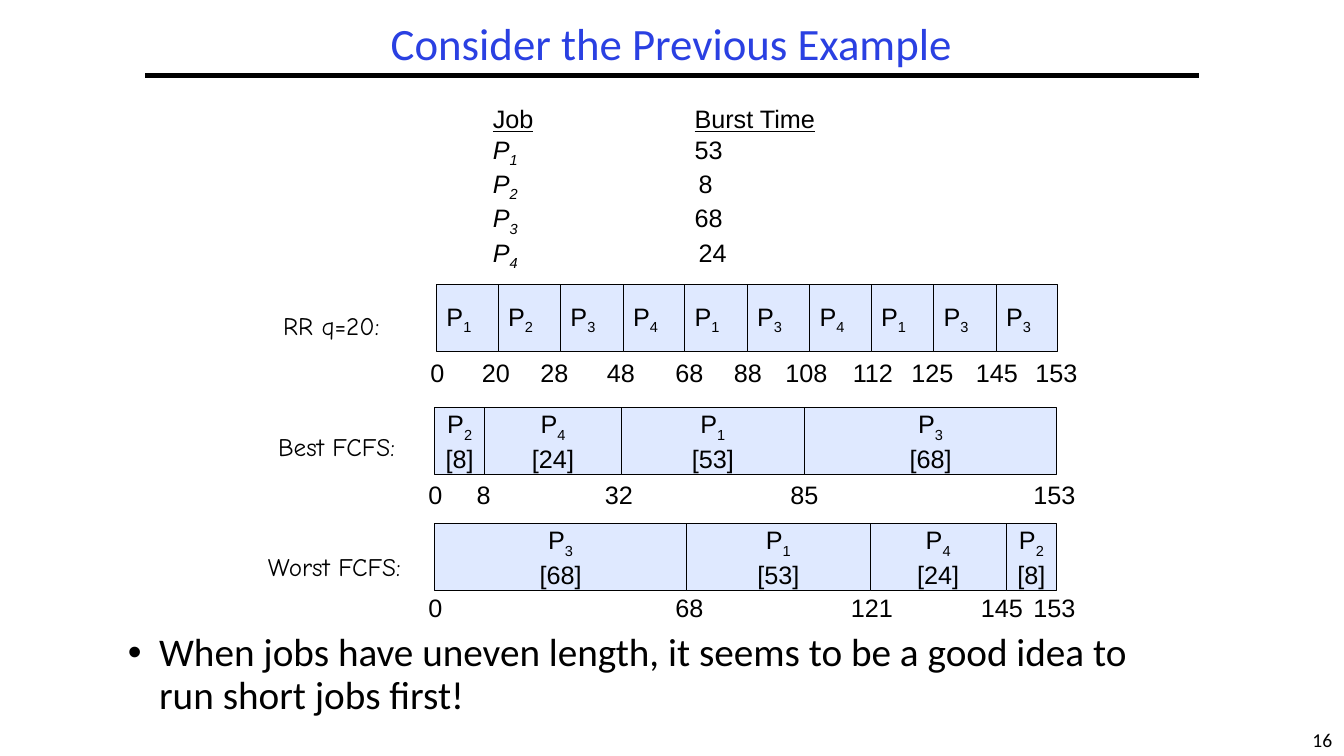
from dataclasses import dataclass
from itertools import accumulate

from lxml.etree import SubElement
from pptx import Presentation
from pptx.dml.color import RGBColor
from pptx.enum.shapes import MSO_CONNECTOR, MSO_SHAPE
from pptx.enum.text import MSO_ANCHOR, MSO_AUTO_SIZE, PP_ALIGN
from pptx.oxml.ns import qn
from pptx.util import Emu, Pt

PX = 9144  # 100 px to the inch
BLACK, TITLE_BLUE, CELL_BLUE = "000000", "2A40E2", "DFE9FF"
CELL_HEIGHT = 67


@dataclass
class Slot:
    job: int
    width: int
    burst: int | None = None


@dataclass
class Schedule:
    label: str
    label_box: tuple[int, int, int, int]
    left: int
    top: int
    slots: list[Slot]
    ticks_top: int
    ticks: dict[int, int]  # time -> centre of its number


def px(value: int) -> Emu:
    return Emu(value * PX)


def rgb(colour: str) -> RGBColor:
    return RGBColor.from_string(colour)


def style(run, size: int, font: str = "Arial", colour: str = BLACK) -> None:
    run.font.size = Pt(size)
    run.font.name = font
    run.font.color.rgb = rgb(colour)


def add_run(paragraph, text: str, subscript: bool = False):
    run = paragraph.add_run()
    run.text = text
    style(run, 18)
    if subscript:
        run._r.get_or_add_rPr().set("baseline", "-25000")
    return run


def add_text(slide, box: tuple[int, int, int, int], text: str, size: int = 18,
             font: str = "Arial", wrap: bool = False, align=PP_ALIGN.LEFT,
             anchor=MSO_ANCHOR.TOP):
    frame = slide.shapes.add_textbox(*map(px, box)).text_frame
    frame.word_wrap = wrap
    frame.auto_size = MSO_AUTO_SIZE.NONE if wrap else MSO_AUTO_SIZE.SHAPE_TO_FIT_TEXT
    frame.vertical_anchor = anchor
    frame.text = text
    frame.paragraphs[0].alignment = align
    for run in frame.paragraphs[0].runs:
        style(run, size, font)
    return frame


def add_slot(slide, slot: Slot, left: int, top: int) -> None:
    cell = slide.shapes.add_shape(
        MSO_SHAPE.RECTANGLE, px(left), px(top), px(slot.width), px(CELL_HEIGHT))
    cell.shadow.inherit = False
    cell.fill.solid()
    cell.fill.fore_color.rgb = rgb(CELL_BLUE)
    cell.line.color.rgb = rgb(BLACK)
    cell.line.width = Pt(0.75)
    frame = cell.text_frame
    frame.word_wrap = False
    frame.vertical_anchor = MSO_ANCHOR.MIDDLE
    job = frame.paragraphs[0]
    job.alignment = PP_ALIGN.LEFT if slot.burst is None else PP_ALIGN.CENTER
    add_run(job, "P")
    add_run(job, str(slot.job), subscript=True)
    if slot.burst is not None:
        burst = frame.add_paragraph()
        burst.alignment = PP_ALIGN.CENTER
        add_run(burst, f"[{slot.burst}]")


def add_schedule(slide, schedule: Schedule) -> None:
    add_text(slide, schedule.label_box, schedule.label, font="Comic Neue")
    lefts = accumulate((slot.width for slot in schedule.slots), initial=schedule.left)
    for slot, left in zip(schedule.slots, lefts):
        add_slot(slide, slot, left, schedule.top)
    for time, centre in schedule.ticks.items():
        width = 20 + 14 * len(str(time))
        add_text(slide, (centre - width // 2, schedule.ticks_top, width, 40),
                 str(time), anchor=MSO_ANCHOR.MIDDLE)


def add_burst_table(slide, bursts: dict[int, str]) -> None:
    frame = add_text(slide, (379, 98, 500, 162), "", wrap=True)
    rows = [frame.paragraphs[0]] + [frame.add_paragraph() for _ in bursts]
    for row in rows:
        tabs = SubElement(row._p.get_or_add_pPr(), qn("a:tabLst"))
        for stop in (100, 300):
            SubElement(tabs, qn("a:tab"), pos=str(px(stop)), algn="l")
    add_run(rows[0], "\t")
    add_run(rows[0], "Job").font.underline = True
    add_run(rows[0], "\t")
    add_run(rows[0], "Burst Time").font.underline = True
    for row, (job, burst) in zip(rows[1:], bursts.items()):
        add_run(row, "\tP").font.italic = True
        # Jobs 2 and 4 have a narrow space ahead of the value
        gap = "\t " if job % 2 == 0 else "\t"
        add_run(row, f"{job}{gap}", subscript=True).font.italic = True
        add_run(row, burst)


def add_title(slide) -> None:
    title = slide.shapes.title
    title.left, title.top, title.width, title.height = map(px, (144, 17, 1044, 58))
    frame = title.text_frame
    frame.text = "Consider the Previous Example"
    frame.word_wrap = True
    frame.auto_size = MSO_AUTO_SIZE.NONE
    frame.vertical_anchor = MSO_ANCHOR.MIDDLE
    heading = frame.paragraphs[0]
    heading.alignment = PP_ALIGN.CENTER
    heading.line_spacing = 0.9
    style(heading.runs[0], 32, "Calibri", TITLE_BLUE)

    rule = slide.shapes.add_connector(
        MSO_CONNECTOR.STRAIGHT, px(144), px(75), px(1189), px(75))
    rule.line.color.rgb = rgb(BLACK)
    rule.line.width = Pt(3)
    SubElement(rule._element.spPr, qn("a:effectLst"))


def add_conclusion(slide) -> None:
    frame = add_text(
        slide, (117, 623, 1072, 95),
        "When jobs have uneven length, it seems to be a good idea to run short jobs first!",
        size=28, font="Calibri", wrap=True)
    bullet = frame.paragraphs[0]
    properties = bullet._p.get_or_add_pPr()
    properties.set("marL", str(px(31)))
    properties.set("indent", str(px(-31)))
    SubElement(properties, qn("a:buFont"), typeface="Arial")
    SubElement(properties, qn("a:buChar"), char="•")
    bullet.line_spacing = 0.9


BURSTS = {1: "53", 2: "8", 3: "68", 4: "24"}
FCFS_WIDTHS = {1: 182, 2: 50, 3: 250, 4: 135}


def fcfs_slots(order: tuple[int, ...]) -> list[Slot]:
    return [Slot(job, FCFS_WIDTHS[job], int(BURSTS[job])) for job in order]


SCHEDULES = [
    Schedule("RR q=20:", (271, 303, 124, 40), 433, 282,
             [Slot(job, 62 if i % 3 else 61)
              for i, job in enumerate((1, 2, 3, 4, 1, 3, 4, 1, 3, 3))], 349,
             {0: 434, 20: 492, 28: 550, 48: 616, 68: 684, 88: 742, 108: 800,
              112: 867, 125: 925, 145: 989, 153: 1048}),
    Schedule("Best FCFS:", (266, 423, 153, 40), 431, 404, fcfs_slots((2, 4, 1, 3)),
             471, {0: 432, 8: 480, 32: 614, 85: 798, 153: 1046}),
    Schedule("Worst FCFS:", (256, 542, 174, 40), 431, 519, fcfs_slots((3, 1, 4, 2)),
             583, {0: 432, 68: 684, 121: 865, 145: 994, 153: 1046}),
]


def main() -> None:
    deck = Presentation()
    deck.slide_width, deck.slide_height = px(1333), px(750)
    slide = deck.slides.add_slide(deck.slide_layouts[5])
    add_title(slide)
    add_burst_table(slide, BURSTS)
    for schedule in SCHEDULES:
        add_schedule(slide, schedule)
    add_conclusion(slide)
    # Page number
    add_text(slide, (1290, 717, 43, 33), "16", size=14, font="Calibri",
             align=PP_ALIGN.CENTER)
    deck.save("out.pptx")


if __name__ == "__main__":
    main()
